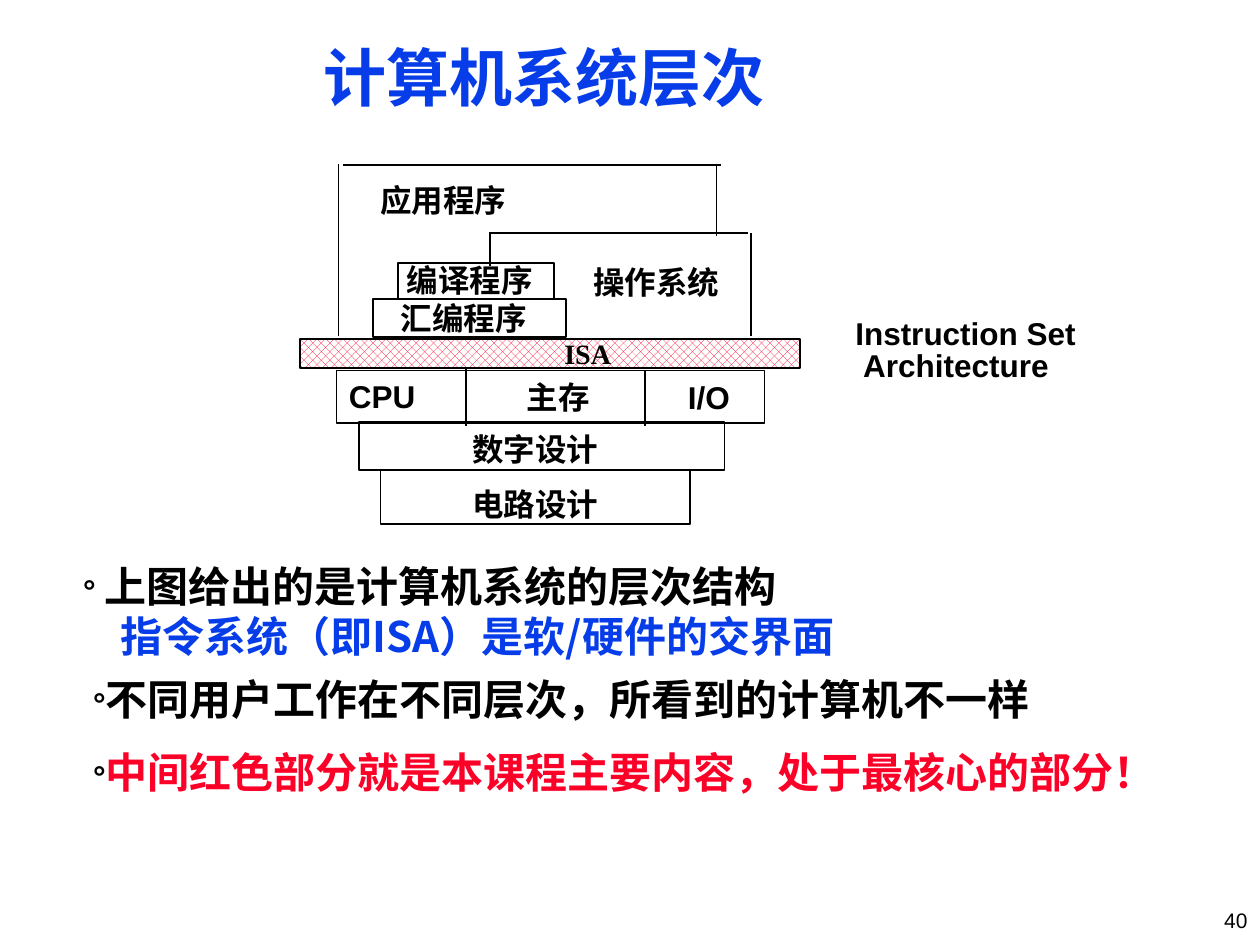
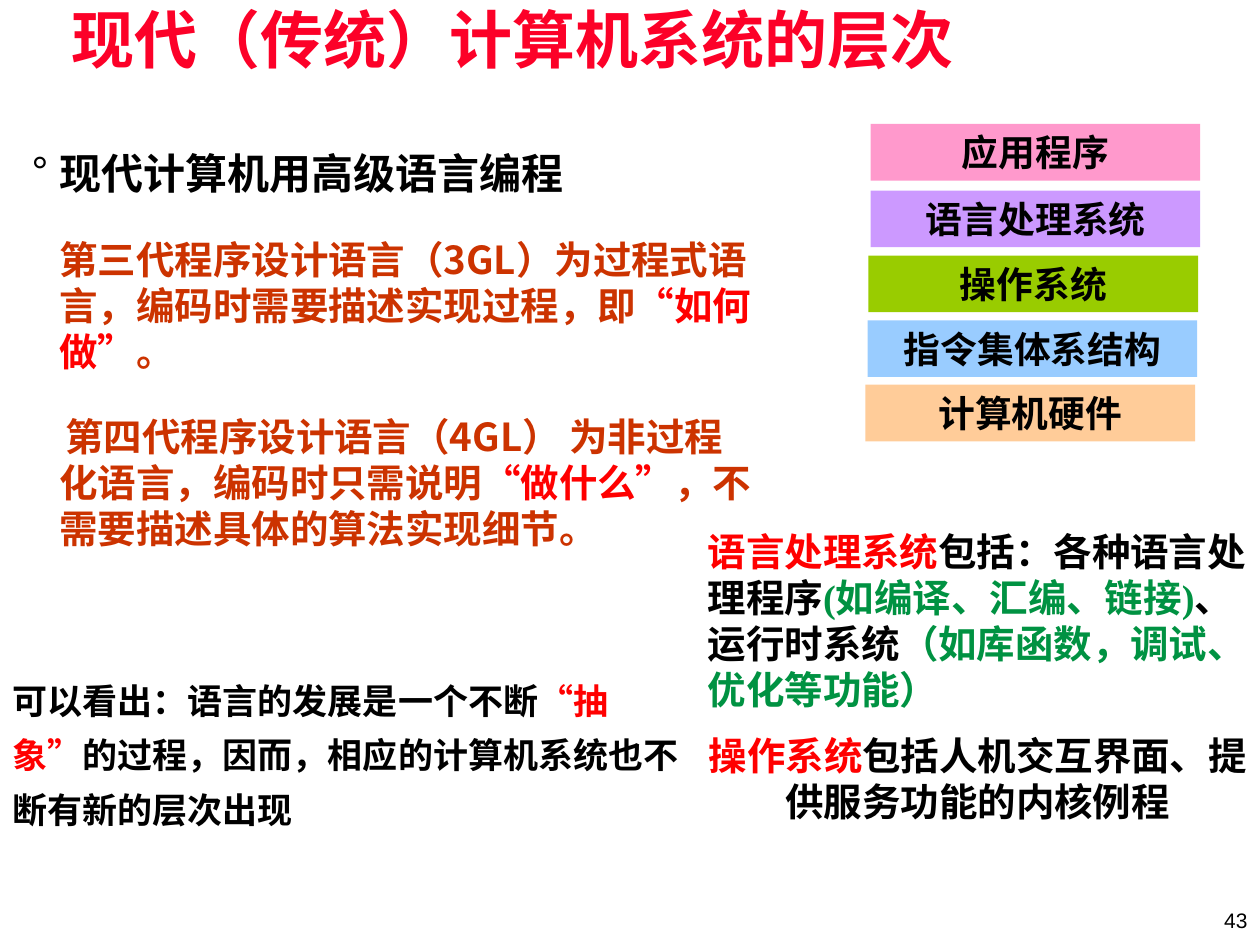
from lxml import etree
from pptx import Presentation
from pptx.dml.color import RGBColor
from pptx.enum.dml import MSO_PATTERN
from pptx.enum.shapes import MSO_CONNECTOR, MSO_SHAPE
from pptx.enum.text import MSO_ANCHOR, MSO_AUTO_SIZE, PP_ALIGN
from pptx.oxml.ns import qn
from pptx.util import Pt

LEFT, CENTER, RIGHT = PP_ALIGN.LEFT, PP_ALIGN.CENTER, PP_ALIGN.RIGHT
TOP, MIDDLE = MSO_ANCHOR.TOP, MSO_ANCHOR.MIDDLE
GROW, FIXED = MSO_AUTO_SIZE.SHAPE_TO_FIT_TEXT, MSO_AUTO_SIZE.NONE
TITLE_ONLY, TITLE_AND_BODY = 5, 1

SANS, SERIF, CHINESE = "Arial", "Times New Roman", "Noto Sans CJK SC"
COLORS = {
    "black": "000000", "white": "FFFFFF", "blue": "063DE8",
    "crimson": "FC0128", "red": "FF0000", "rust": "CC3300",
    "green": "009242", "pink": "FF99CC", "violet": "CC99FF",
    "lime": "99CC00", "sky": "99CCFF", "peach": "FFCC99",
}
TIGHT, ROOMY = (5, 2), (7.2, 3.6)


def rgb(name):
    return RGBColor.from_string(COLORS[name])


class Deck:
    """Holds the shared style and the slide being drawn."""

    def __init__(self):
        self.presentation = Presentation()
        self.presentation.slide_width = Pt(720)
        self.presentation.slide_height = Pt(540)
        self.slide = None

    def new_slide(self, layout, number):
        layouts = self.presentation.slide_layouts
        self.slide = self.presentation.slides.add_slide(layouts[layout])
        self.text((558, 511, 162, 29), [number], anchor=MIDDLE,
                  size=12, bold=False, align=RIGHT)

    def frame(self, shape, insets=ROOMY, anchor=TOP, wrap=True, fit=FIXED):
        frame = shape.text_frame
        frame.word_wrap = wrap
        frame.auto_size = fit
        frame.vertical_anchor = anchor
        frame.margin_left = frame.margin_right = Pt(insets[0])
        frame.margin_top = frame.margin_bottom = Pt(insets[1])
        return frame

    def fill_frame(self, frame, paragraphs, **style):
        """Each paragraph is a string, or (runs, style changes)."""
        for index, item in enumerate(paragraphs):
            runs, changes = (item, {}) if isinstance(item, str) else item
            paragraph = (frame.add_paragraph() if index
                         else frame.paragraphs[0])
            self.paragraph(paragraph, runs, **{**style, **changes})

    def paragraph(self, paragraph, runs, size=18, color="black", font=SANS,
                  bold=True, align=LEFT, line=1, before=0, margin=0,
                  indent=0, bullet=None):
        paragraph.alignment = align
        paragraph.line_spacing = line
        paragraph.space_before = Pt(before)
        properties = paragraph._p.get_or_add_pPr()
        properties.set("marL", str(Pt(margin)))
        properties.set("indent", str(Pt(indent)))
        if bullet:
            etree.SubElement(properties, qn("a:buChar")).set("char", bullet)
        else:
            etree.SubElement(properties, qn("a:buNone"))
        self.font(paragraph.font, size, color, font)
        paragraph.font.bold = bold
        east_asian = etree.SubElement(properties.find(qn("a:defRPr")),
                                      qn("a:ea"))
        east_asian.set("typeface", CHINESE)
        for item in [(runs, {})] if isinstance(runs, str) else runs:
            run = paragraph.add_run()
            run.text, changes = item
            self.font(run.font, **changes)

    def font(self, target, size=None, color=None, font=None):
        if size:
            target.size = Pt(size)
        if color:
            target.color.rgb = rgb(color)
        if font:
            target.name = font

    def place(self, shape, box):
        shape.left, shape.top, shape.width, shape.height = map(Pt, box)

    def title(self, box, text, color):
        shape = self.slide.shapes.title
        self.place(shape, box)
        self.fill_frame(self.frame(shape, TIGHT), [text],
                        size=36, color=color, line=0.87)

    def body(self, box, paragraphs, **style):
        shape = self.slide.placeholders[1]
        self.place(shape, box)
        self.fill_frame(self.frame(shape, TIGHT), paragraphs, **style)

    def text(self, box, paragraphs, insets=ROOMY, anchor=TOP, **style):
        shape = self.slide.shapes.add_textbox(*map(Pt, box))
        self.fill_frame(self.frame(shape, insets, anchor), paragraphs, **style)

    def label(self, box, paragraphs, **style):
        shape = self.slide.shapes.add_textbox(*map(Pt, box))
        frame = self.frame(shape, TIGHT, wrap=False, fit=GROW)
        self.fill_frame(frame, paragraphs, **style)

    def rectangle(self, box, fill=None, outlined=True):
        shape = self.slide.shapes.add_shape(MSO_SHAPE.RECTANGLE,
                                            *map(Pt, box))
        shape.shadow.inherit = False
        if fill:
            shape.fill.solid()
            shape.fill.fore_color.rgb = rgb(fill)
        else:
            shape.fill.background()
        if outlined:
            shape.line.color.rgb = rgb("black")
            shape.line.width = Pt(1)
        else:
            shape.line.fill.background()
        return shape

    def dotted_band(self, box):
        fill = self.rectangle(box).fill
        fill.patterned()
        fill.pattern = MSO_PATTERN.PERCENT_50
        fill.fore_color.rgb = rgb("crimson")
        fill.back_color.rgb = rgb("white")

    def line(self, *ends):
        connector = self.slide.shapes.add_connector(MSO_CONNECTOR.STRAIGHT,
                                                    *map(Pt, ends))
        connector.line.color.rgb = rgb("black")
        connector.line.width = Pt(1)
        etree.SubElement(connector._element.spPr, qn("a:effectLst"))


def system_layers(deck):
    deck.new_slide(TITLE_ONLY, "40")
    deck.title((180, 26, 305, 42), "计算机系统层次", "blue")

    # Layer outlines
    for box in [
        (192.3, 211.7, 244.7, 30.2),   # hardware row
        (227.5, 150.5, 89.3, 20.2),    # compiler
        (213.1, 171, 110.2, 21.6),     # assembler
        (205.2, 241.2, 208.8, 27.4),   # digital design
        (217.4, 268.6, 177.1, 31),     # circuit design
    ]:
        deck.rectangle(box)

    # Open frames of applications and operating system, hardware dividers
    for ends in [
        (193.5, 192.2, 193.5, 93.6), (195.8, 94.3, 411.8, 94.3),
        (409.5, 94.3, 409.5, 134.6), (280.2, 152, 280.2, 132.5),
        (280.8, 133.2, 427.7, 133.2), (429.3, 133.2, 429.3, 192.2),
        (266.4, 211, 266.4, 243.4), (368.6, 211.7, 368.6, 243.4),
    ]:
        deck.line(*ends)

    # Layer names
    for name, left, top, width in [
        ("应用程序", 212.4, 100.8, 83.5), ("编译程序", 227.5, 146.9, 83.5),
        ("操作系统", 334.1, 147.6, 83.5), ("汇编程序", 223.9, 168.5, 83.5),
        ("CPU", 194.4, 213.1, 50), ("主存", 295.9, 213.8, 48),
        ("I/O", 388.1, 213.8, 38), ("数字设计", 265, 243.4, 83.5),
        ("电路设计", 265, 275, 83.5),
    ]:
        deck.label((left, top, width, 24.5), [name], line=1.02)

    # Instruction set band
    deck.dotted_band((171.4, 193.7, 285.8, 16.6))
    deck.text((315.4, 188.6, 46, 26.6), ["ISA"], size=16, font=SERIF)
    deck.label((483.8, 180.7, 138, 41),
               ["Instruction Set", ("Architecture", {"margin": 4.5})],
               line=0.85)

    # Remarks
    remark = {"size": 24, "font": CHINESE}
    deck.text((42.5, 318.2, 662, 61), [
        ([("° ", {"size": 18, "font": SANS}),
          ("上图给出的是计算机系统的层次结构", {})], {}),
        ("指令系统（即ISA）是软/硬件的交界面",
         {"color": "blue", "margin": 21.6}),
    ], TIGHT, **remark)
    for top, color, remark_text in [
        (387.4, "black", "不同用户工作在不同层次，所看到的计算机不一样"),
        (429.1, "crimson", "中间红色部分就是本课程主要内容，处于最核心的部分！"),
    ]:
        runs = [("°", {"size": 18, "color": "black"}), (remark_text, {})]
        deck.text((48.2, top, 663, 29), [(runs, {})], TIGHT,
                  size=24, color=color, line=0.85)


def modern_layers(deck):
    deck.new_slide(TITLE_AND_BODY, "43")
    deck.title((36, 4.3, 648, 44), "现代（传统）计算机系统的层次", "crimson")

    # Language generations
    red = {"color": "red"}
    generation = {"size": 22, "color": "rust", "before": 22}
    deck.body((13, 82, 425.5, 299.5), [
        ("现代计算机用高级语言编程",
         {"size": 24, "indent": -16, "bullet": "°"}),
        ([("第三代程序设计语言（3GL）为过程式语言，编码时需要描述实现过程，即",
           {}), ("“如何做”", red), ("。", {})], generation),
        ([("第四代程序设计语言（4GL） 为非过程化语言，编码时只需说明", {}),
          ("“做什么”", red), ("，不需要描述具体的算法实现细节。", {})],
         {**generation, "indent": 3.5}),
    ], font=CHINESE, margin=16)

    # Layer stack
    for name, color, left, top in [
        ("应用程序", "pink", 497.5, 70.8),
        ("语言处理系统", "violet", 497.5, 108.9),
        ("操作系统", "lime", 496.3, 146),
        ("指令集体系结构", "sky", 495.8, 183),
        ("计算机硬件", "peach", 494.6, 219.8),
    ]:
        shape = deck.rectangle((left, top, 188.4, 32.4), color, False)
        deck.fill_frame(deck.frame(shape, anchor=MIDDLE), [name],
                        size=21, font=SERIF, align=CENTER)

    # Conclusion
    quote = {"color": "red", "font": CHINESE}
    deck.text((0, 377.3, 397.4, 101.5), [
        ([("可以看出：语言的发展是一个不断", {}), ("“", quote),
          ("抽象", red), ("”", quote),
          ("的过程，因而，相应的计算机系统也不断有新的层次出现", {})], {}),
    ], size=20, font=SERIF, line=1.3)

    # What the layers contain
    green = {"color": "green"}
    deck.text((397.4, 298.1, 322.6, 180.7), [
        ([("语言处理系统", red), ("包括：各种语言处理程序", {}),
          ("(如编译、汇编、链接)", green), ("、运行时系统", {}),
          ("（如库函数，调试、优化等功能）", green)], {}),
        ([("操作系统", red),
          ("包括人机交互界面、提供服务功能的内核例程", {})],
         {"align": CENTER, "before": 11}),
    ], size=22, font=SERIF)


def main():
    deck = Deck()
    system_layers(deck)
    modern_layers(deck)
    deck.presentation.save("out.pptx")


if __name__ == "__main__":
    main()
